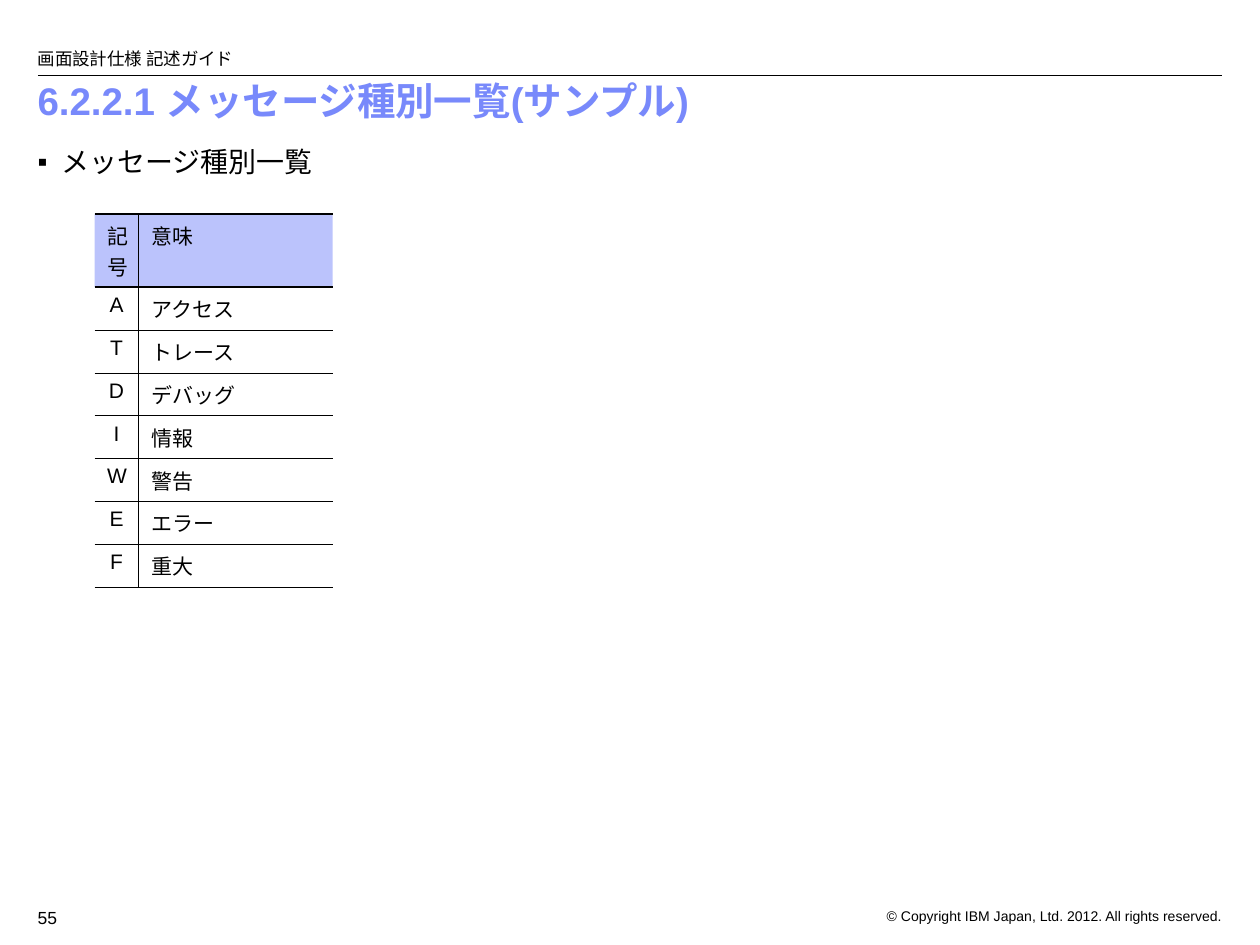
from lxml.etree import SubElement
from pptx import Presentation
from pptx.dml.color import RGBColor
from pptx.enum.text import MSO_ANCHOR, PP_ALIGN
from pptx.oxml import parse_xml
from pptx.oxml.ns import nsdecls, qn
from pptx.util import Inches, Pt

COLORS = {"text": "000000", "accent": "7889FB"}
FONT = "Arial"
THIN, THICK = 0.45, 1.08
HEADER = ("記号", "意味")
MESSAGE_TYPES = [
    ("A", "アクセス"), ("T", "トレース"), ("D", "デバッグ"), ("I", "情報"),
    ("W", "警告"), ("E", "エラー"), ("F", "重大"),
]


def rgb(name):
    return RGBColor.from_string(COLORS[name])


def style_runs(p, size, color="text", bold=False):
    for r in p.runs:
        r.font.name = FONT
        r.font.size = Pt(size)
        r.font.bold = bold
        r.font.color.rgb = rgb(color)


def add_text(s, text, left, top, width, height, size, color="text", bold=False,
             inset=0, anchor=MSO_ANCHOR.TOP, align=PP_ALIGN.LEFT):
    sp = s.shapes.add_textbox(Inches(left), Inches(top), Inches(width), Inches(height))
    tf = sp.text_frame
    tf.word_wrap = True
    tf.margin_left = tf.margin_right = Inches(0.1)
    tf.margin_top = tf.margin_bottom = Inches(inset)
    tf.vertical_anchor = anchor
    tf.text = text
    p = tf.paragraphs[0]
    p.alignment = align
    style_runs(p, size, color, bold)
    return p


def add_bullet(p, indent):
    pPr = p._p.get_or_add_pPr()
    pPr.set("marL", str(Inches(indent)))
    pPr.set("indent", str(-Inches(indent)))
    SubElement(pPr, qn("a:buFont"), typeface=FONT)
    SubElement(pPr, qn("a:buChar"), char="▪")


def add_rule(s, left, right, y):
    line = s.shapes.add_connector(1, Inches(left), Inches(y), Inches(right), Inches(y))
    line.line.color.rgb = rgb("text")
    line.line.width = Pt(0.75)
    SubElement(line._element.spPr, qn("a:effectLst"))


def set_borders(cell, **widths):
    tcPr = cell._tc.get_or_add_tcPr()
    for i, side in enumerate("LRTB"):
        width = widths.get(side, 0)
        fill = f'<a:solidFill><a:srgbClr val="{COLORS["text"]}"/></a:solidFill>' if width else "<a:noFill/>"
        tcPr.insert(i, parse_xml(
            f'<a:ln{side} {nsdecls("a")} w="{int(Pt(width))}">{fill}</a:ln{side}>'))


def fill_header(cell):
    cell.fill.solid()
    cell.fill.fore_color.rgb = rgb("accent")
    color = cell._tc.tcPr.find(".//" + qn("a:srgbClr"))
    SubElement(color, qn("a:alpha"), val="50000")


def add_message_table(s, left, top, col_widths, header_height, row_height):
    rows = [HEADER] + MESSAGE_TYPES
    height = header_height + row_height * len(MESSAGE_TYPES)
    frame = s.shapes.add_table(len(rows), len(HEADER), Inches(left), Inches(top),
                               Inches(sum(col_widths)), Inches(height))
    table = frame.table
    table.first_row = table.horz_banding = False
    for column, width in zip(table.columns, col_widths):
        column.width = Inches(width)
    for i, values in enumerate(rows):
        table.rows[i].height = Inches(row_height if i else header_height)
        for j, value in enumerate(values):
            cell = table.cell(i, j)
            cell.text = value
            cell.margin_left = cell.margin_right = Inches(0.1)
            cell.margin_top = cell.margin_bottom = Inches(0.05)
            p = cell.text_frame.paragraphs[0]
            p.alignment = PP_ALIGN.CENTER if i and j == 0 else PP_ALIGN.LEFT
            style_runs(p, 12)
            if i == 0:
                fill_header(cell)
            else:
                cell.fill.background()
            divider = {"L": THIN} if j else {"R": THIN}
            set_borders(cell, T=THICK if i < 2 else THIN,
                        B=THIN if i else THICK, **divider)


def main():
    prs = Presentation()
    prs.slide_width, prs.slide_height = Inches(10), Inches(7.5)
    s = prs.slides.add_slide(prs.slide_layouts[6])

    add_rule(s, 0.3, 9.7, 0.6)
    add_text(s, "© Copyright IBM Japan, Ltd. 2012. All rights reserved.",
             6.26, 7.15, 3.54, 0.2, 8, inset=0.05, align=PP_ALIGN.RIGHT)
    add_text(s, "画面設計仕様 記述ガイド", 0.2, 0.15, 7.48, 0.4, 10, anchor=MSO_ANCHOR.BOTTOM)
    add_text(s, "55", 0.2, 7.15, 0.48, 0.2, 10, inset=0.05)
    title = add_text(s, "6.2.2.1 メッセージ種別一覧(サンプル)",
                     0.2, 0.65, 9.5, 0.5, 22, color="accent", bold=True)
    title.line_spacing = 0.9
    add_bullet(add_text(s, "メッセージ種別一覧", 0.2, 1.15, 9.5, 5.7, 16), 0.19)
    add_message_table(s, 0.75, 1.7, (0.35, 1.54), 0.58, 0.34)

    prs.save("out.pptx")


if __name__ == "__main__":
    main()
